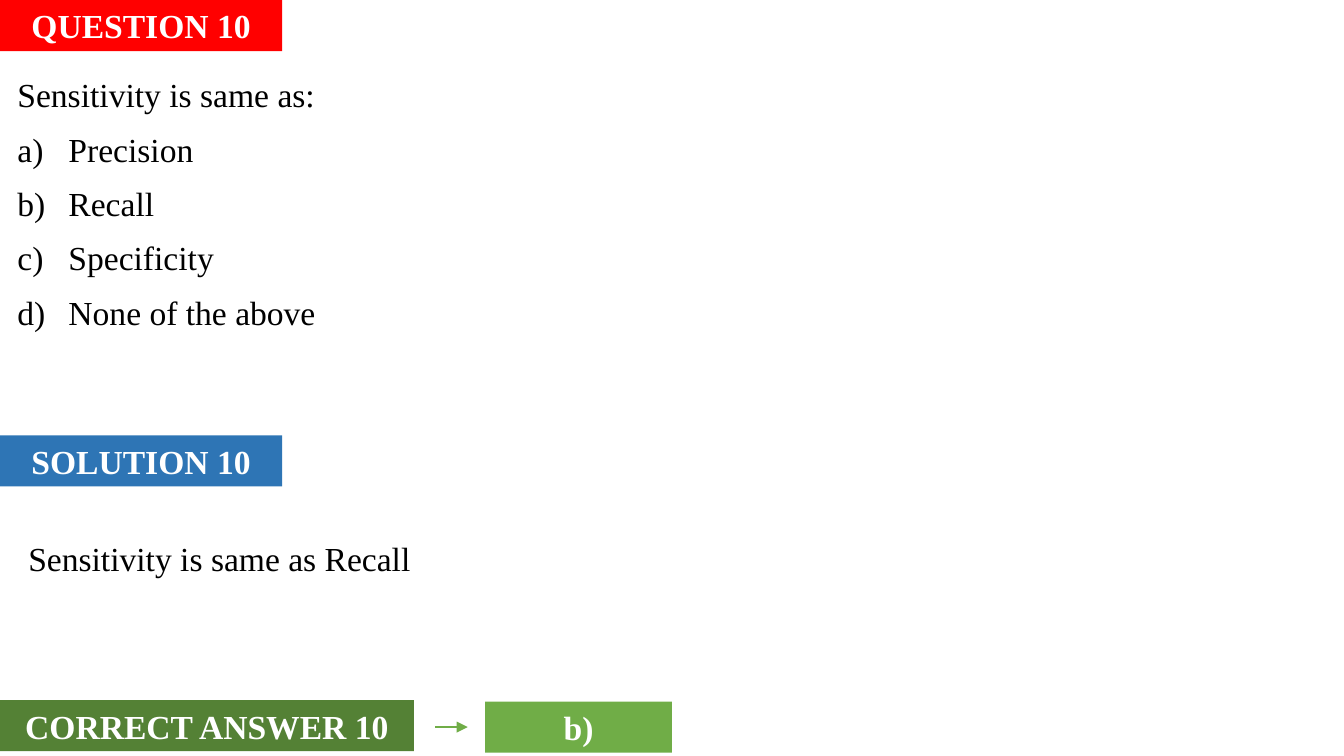
"""Build a quiz slide with a question, its solution and the correct answer."""
from dataclasses import dataclass
from typing import Any

from lxml import etree
from pptx import Presentation, util as u
from pptx.dml.color import RGBColor
from pptx.enum import shapes, text
from pptx.oxml.ns import qn


@dataclass(frozen=True)
class Theme:
    font: str = "Times New Roman"
    size: float = 18
    ink: str = "000000"
    light: str = "FFFFFF"
    red: str = "FF0000"
    blue: str = "2E75B5"
    dark: str = "548135"
    green: str = "70AD47"
    line: float = 1.5


@dataclass(frozen=True)
class Box:
    left: float
    top: float
    width: float
    height: float = 0.38

    def emu(self) -> list[int]:
        return [u.Inches(n) for n in (self.left, self.top, self.width, self.height)]


@dataclass(frozen=True)
class Label:
    words: str
    box: Box
    fill: str


THEME = Theme()
TITLE = Label("QUESTION 10", Box(0, 0, 2.1), THEME.red)
LABELS = [
    Label("SOLUTION 10", Box(0, 3.24, 2.1), THEME.blue),
    Label("CORRECT ANSWER 10", Box(0, 5.21, 3.08), THEME.dark),
    Label("b)", Box(3.61, 5.22, 1.39), THEME.green),
]
ASK = "Sensitivity is same as:"
CHOICES = ["Precision", "Recall", "Specificity", "None of the above"]
REASON = "Sensitivity is same as Recall"


def write(para: Any, words: str, *, color: str = THEME.ink, bold: bool = False,
          align: text.PP_ALIGN = text.PP_ALIGN.LEFT, space: float = 1.0,
          before: float = 0) -> None:
    run = para.add_run()
    run.text = words
    run.font.name = THEME.font
    run.font.size = u.Pt(THEME.size)
    run.font.bold = bold
    run.font.color.rgb = RGBColor.from_string(color)
    para.alignment = align
    para.line_spacing = space
    para.space_before = u.Pt(before)


def number(para: Any, indent: float = 0.38) -> None:
    props = para._p.get_or_add_pPr()
    props.set("marL", str(u.Inches(indent)))
    props.set("indent", str(-u.Inches(indent)))
    tint = etree.SubElement(props, qn("a:buClr"))
    etree.SubElement(tint, qn("a:srgbClr"), val=THEME.ink)
    etree.SubElement(props, qn("a:buFont"), typeface=THEME.font)
    etree.SubElement(props, qn("a:buAutoNum"), type="alphaLcParenR")


def frame(shape: Any, anchor: text.MSO_ANCHOR = text.MSO_ANCHOR.TOP) -> Any:
    body = shape.text_frame
    body.word_wrap = True
    body.auto_size = text.MSO_AUTO_SIZE.NONE
    body.vertical_anchor = anchor
    body.margin_left = body.margin_right = u.Inches(0.07)
    body.margin_top = body.margin_bottom = u.Inches(0.04)
    return body


def badge(shape: Any, label: Label) -> None:
    shape.left, shape.top, shape.width, shape.height = label.box.emu()
    shape.fill.solid()
    shape.fill.fore_color.rgb = RGBColor.from_string(label.fill)
    shape.line.fill.background()
    body = frame(shape, text.MSO_ANCHOR.MIDDLE)
    write(body.paragraphs[0], label.words, color=THEME.light, bold=True,
          align=text.PP_ALIGN.CENTER)


def note(slide: Any, box: Box) -> Any:
    return frame(slide.shapes.add_textbox(*box.emu()))


def arrow(slide: Any, start: float, end: float, level: float) -> None:
    link = slide.shapes.add_connector(
        shapes.MSO_CONNECTOR.STRAIGHT,
        *(u.Inches(n) for n in (start, level, end, level)))
    link.line.color.rgb = RGBColor.from_string(THEME.green)
    link.line.width = u.Pt(THEME.line)
    etree.SubElement(link.line._get_or_add_ln(), qn("a:tailEnd"), type="triangle")
    etree.SubElement(link._element.spPr, qn("a:effectLst"))


def main() -> None:
    deck = Presentation()
    deck.slide_width = u.Inches(10)
    deck.slide_height = deck.slide_width * 9 // 16
    slide = deck.slides.add_slide(deck.slide_layouts[5])
    badge(slide.shapes.title, TITLE)

    quiz = note(slide, Box(0.06, 0.49, 9.87, 2.01))
    write(quiz.paragraphs[0], ASK, space=1.07)
    for choice in CHOICES:
        para = quiz.add_paragraph()
        write(para, choice, space=1.07, before=6)
        number(para)

    for label in LABELS:
        shape = slide.shapes.add_shape(shapes.MSO_SHAPE.RECTANGLE, *label.box.emu())
        shape.shadow.inherit = False
        badge(shape, label)

    arrow(slide, 3.24, 3.48, 5.41)
    write(note(slide, Box(0.14, 3.96, 5.01)).paragraphs[0], REASON)
    deck.save("out.pptx")


if __name__ == "__main__":
    main()
